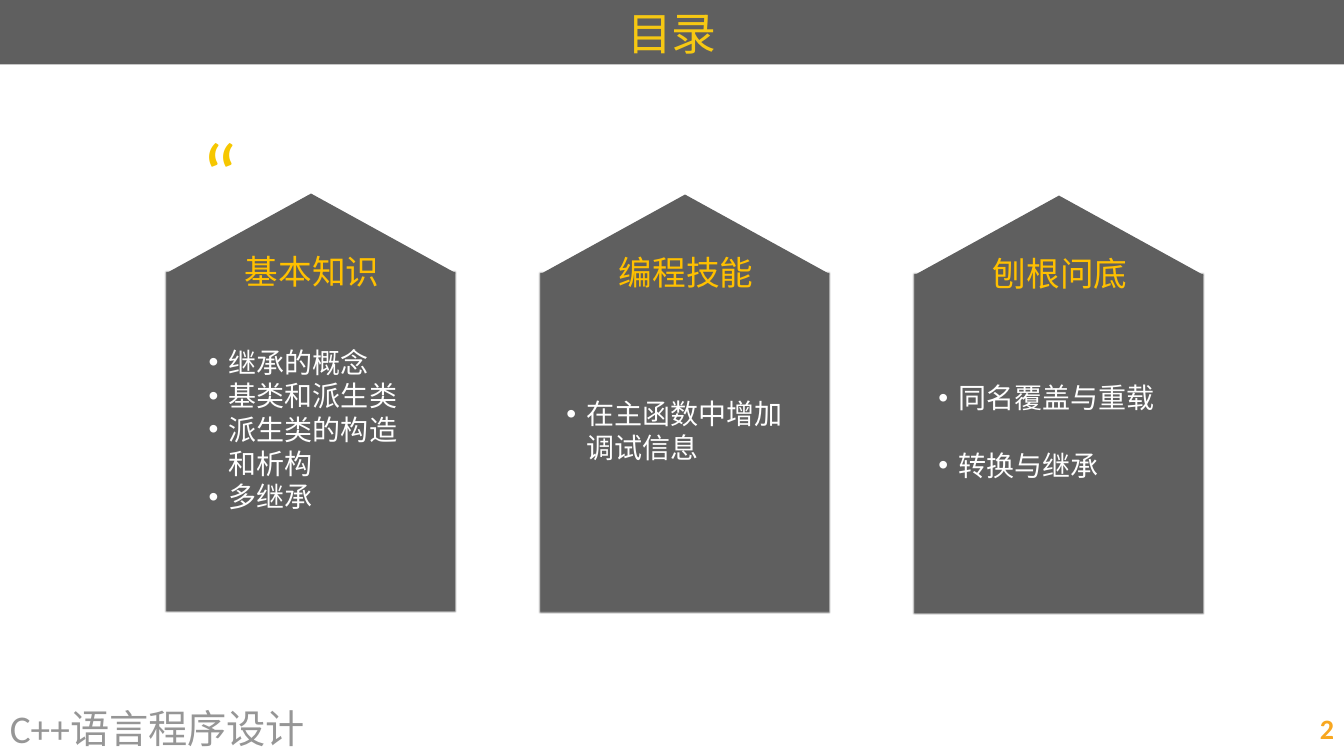
"""Build the contents slide with three house-shaped topic cards."""
from lxml import etree
from pptx import Presentation
from pptx.dml.color import RGBColor
from pptx.enum.shapes import MSO_SHAPE
from pptx.enum.text import MSO_ANCHOR, MSO_AUTO_SIZE, PP_ALIGN
from pptx.oxml.ns import qn
from pptx.util import Inches, Pt

RECTANGLE = MSO_SHAPE.RECTANGLE
MIDDLE, BOTTOM = MSO_ANCHOR.MIDDLE, MSO_ANCHOR.BOTTOM
LEFT, CENTER, RIGHT = PP_ALIGN.LEFT, PP_ALIGN.CENTER, PP_ALIGN.RIGHT
NO_FIT, GROW = MSO_AUTO_SIZE.NONE, MSO_AUTO_SIZE.SHAPE_TO_FIT_TEXT

COLORS = {
    "panel": "5F5F5F", "title": "F6C813", "quote": "F6C700", "heading": "FFC000",
    "item": "FFFFFF", "footer": "969696", "number": "F8A720", "shadow": "000000",
}
LATIN, CHINESE = "Calibri", "Noto Sans CJK SC"
COLUMNS, ROWS = 40, 45
CARD_LEFT, CARD_STEP, CARD_DROP = 4.95, 11.13, 0.06
LIST_CENTER = 25.56

CARDS = [
    ("基本知识", ["继承的概念", "基类和派生类", "派生类的构造和析构", "多继承"],
     1.08, 6.36, 10.8, 0),
    ("编程技能", ["在主函数中增加调试信息"], 0.6, 7.02, 4.74, 0),
    ("刨根问底", ["同名覆盖与重载", "转换与继承"], 0.54, 8.04, 6.72, 24),
]


class ContentsSlide:
    """Hold the grid, the style and the slide being drawn."""

    def __init__(self, deck):
        self.column = deck.slide_width / COLUMNS
        self.row = deck.slide_height / ROWS
        self.slide = deck.slides.add_slide(deck.slide_layouts[5])
        self.shapes = self.slide.shapes

    def box(self, left, top, width, height):
        """Turn grid lengths into slide lengths."""
        return (round(left * self.column), round(top * self.row),
                round(width * self.column), round(height * self.row))

    def paint(self, shape):
        """Give a shape the flat panel fill."""
        shape.fill.solid()
        shape.fill.fore_color.rgb = RGBColor.from_string(COLORS["panel"])

    def set_words(self, shape, lines, size, color, font=LATIN, align=LEFT, anchor=MIDDLE,
                  inset=None, fit=NO_FIT, spacing=None, gap=0, bold=False, bullets=False):
        """Put styled paragraphs into a shape."""
        frame = shape.text_frame
        frame.text = "\n".join(lines)
        frame.word_wrap = True
        frame.auto_size = fit
        frame.vertical_anchor = anchor
        if inset is not None:
            frame.margin_left = frame.margin_right = Inches(inset)
            frame.margin_top = frame.margin_bottom = Inches(inset)
        for index, paragraph in enumerate(frame.paragraphs):
            paragraph.alignment = align
            if spacing:
                paragraph.line_spacing = Pt(spacing)
            if index and gap:
                paragraph.space_before = Pt(gap)
            if bullets:
                self.bullet(paragraph)
            for run in paragraph.runs:
                run.font.name = font
                run.font.size = Pt(size)
                run.font.bold = bold
                run.font.color.rgb = RGBColor.from_string(COLORS[color])
                if font == CHINESE:
                    etree.SubElement(run.font._element, qn("a:ea"), typeface=font)

    def bullet(self, paragraph):
        """Add a hanging round bullet."""
        properties = paragraph._p.get_or_add_pPr()
        properties.set("marL", str(Inches(0.2)))
        properties.set("indent", str(-Inches(0.2)))
        etree.SubElement(properties, qn("a:buFont"), typeface="Arial")
        etree.SubElement(properties, qn("a:buChar"), char="•")

    def title(self, words, height):
        """Turn the title placeholder into the top bar."""
        bar = self.shapes.title
        bar.left, bar.top, bar.width, bar.height = self.box(0, 0, COLUMNS, height)
        self.paint(bar)
        self.set_words(bar, [words], 32, "title", align=CENTER)

    def text(self, lines, place, size, color, **style):
        """Add a text box."""
        self.set_words(self.shapes.add_textbox(*self.box(*place)), lines, size, color, **style)

    def wall(self, *place):
        """Add a card body with a thin soft shadow."""
        body = self.shapes.add_shape(RECTANGLE, *self.box(*place))
        self.paint(body)
        body.line.fill.background()
        body.shadow.inherit = False
        effects = body._element.spPr.find(qn("a:effectLst"))
        shadow = etree.SubElement(effects, qn("a:outerShdw"), blurRad=str(Pt(1)),
                                  dist="0", dir="5400000", rotWithShape="0")
        tint = etree.SubElement(shadow, qn("a:srgbClr"), val=COLORS["shadow"])
        etree.SubElement(tint, qn("a:alpha"), val="50000")

    def roof(self, *place):
        """Add the triangle on top of a card."""
        left, top, width, height = self.box(*place)
        outline = self.shapes.build_freeform(left + width // 2, top)
        outline.add_line_segments([(left + width, top + height), (left, top + height)])
        gable = outline.convert_to_shape()
        self.paint(gable)
        gable.line.fill.background()
        gable.shadow.inherit = False

    def card(self, index, heading, items, indent, width, height, gap):
        """Add one topic card."""
        left, drop = CARD_LEFT + index * CARD_STEP, index * CARD_DROP
        self.wall(left, 16.2 + drop, 8.59, 20.16)
        self.roof(left, 11.52 + drop, 8.62, 4.74)
        self.text(items, (left + indent, LIST_CENTER + drop - height / 2, width, height),
                  20, "item", font=CHINESE, inset=0.06, fit=GROW, spacing=24,
                  gap=gap, bullets=True)
        self.text([heading], (left + 2.16, 14.58 + drop, 4.74, 3.12), 24, "heading",
                  font=CHINESE, inset=0.06, fit=GROW, spacing=29)


def main():
    """Draw and save the slide."""
    deck = Presentation()
    deck.slide_width, deck.slide_height = Inches(13.33), Inches(7.5)
    contents = ContentsSlide(deck)
    contents.title("目录", 3.84)
    contents.text(["C++语言程序设计"], (0, 41.7, 26.34, 3.3), 28, "footer")
    contents.text(["2"], (28.68, 41.7, 11.32, 3.3), 20, "number", align=RIGHT, bold=True)
    for index, card in enumerate(CARDS):
        contents.card(index, *card)
    contents.text(["“"], (5.82, 10.62, 2.46, 3.06), 62.5, "quote",
                  anchor=BOTTOM, inset=0.06, spacing=40)
    deck.save("out.pptx")


if __name__ == "__main__":
    main()
